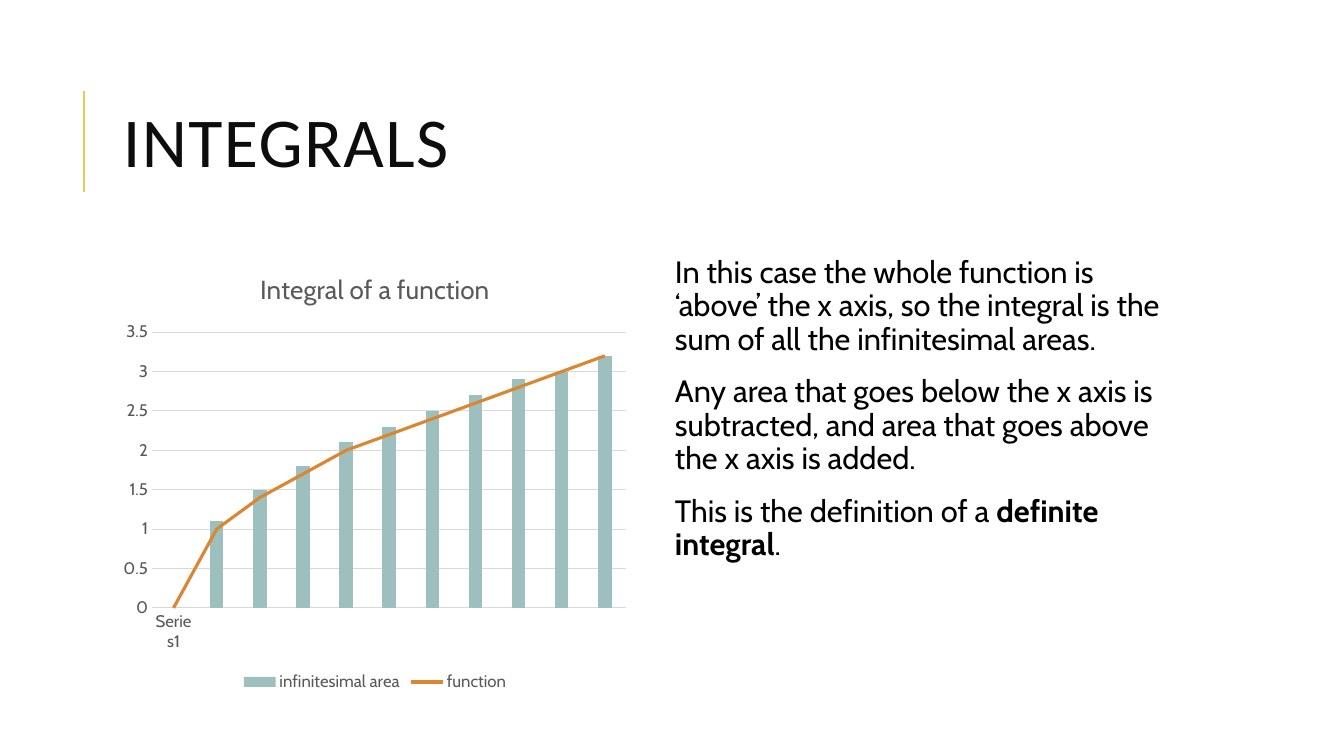
from copy import deepcopy
from lxml import etree
from pptx import Presentation
from pptx import util as u
from pptx.chart import data
from pptx.dml import color
from pptx.enum import chart as ch, shapes, text
from pptx.oxml import ns

HEADING = "INTEGRALS"
EXPLANATION = [
    [("In this case the whole function is ‘above’ the x axis, so the integral "
      "is the sum of all the infinitesimal areas.", False)],
    [("Any area that goes below the x axis is subtracted, and area that goes "
      "above the x axis is added.", False)],
    [("This is the definition of a ", False), ("definite integral", True), (".", False)],
]
CHART_TITLE = "Integral of a function"
CATEGORIES = ["Series1"] + [""] * 10
SERIES = {
    "infinitesimal area": [0, 1.1, 1.5, 1.8, 2.1, 2.3, 2.5, 2.7, 2.9, 3, 3.2],
    "function": [0, 1, 1.4, 1.7, 2, 2.2, 2.4, 2.6, 2.8, 3, 3.2],
}
COLORS = {"accent": "E3CC5A", "heading": "0D0D0D", "body": "000000",
          "label": "595959", "grid": "D9D9D9", "area": "9DBFBE", "function": "DB8631"}
WIDTH, HEIGHT = 1344, 756
LEFT, CONTENT_TOP, COLUMN_W, COLUMN_H = 113, 252, 524, 444
EXPLANATION_LEFT = 660
PX = 914400 / 100.8


def px(*lengths):
    return [u.Emu(round(n * PX)) for n in lengths]


def rgb(name):
    return color.RGBColor.from_string(COLORS[name])


def apply(target, **values):
    for key, value in values.items():
        setattr(target, key, value)


def style_font(font, face, size, shade, bold=False):
    apply(font, name=face, size=u.Pt(size), bold=bold)
    font.color.rgb = rgb(shade)


def style_line(line, shade, width):
    line.color.rgb = rgb(shade)
    line.width = u.Pt(width)


def text_frame(slide, box, **values):
    frame = slide.shapes.add_textbox(*px(*box)).text_frame
    apply(frame, word_wrap=True, **values)
    return frame


def move_to_line(chart):
    columns = chart.plots[0]._element
    function = columns.findall(ns.qn("c:ser"))[1]
    curve = columns.makeelement(ns.qn("c:lineChart"))
    for tag, value in (("c:grouping", "standard"), ("c:varyColors", "0")):
        etree.SubElement(curve, ns.qn(tag)).set("val", value)
    for inversion in function.findall(ns.qn("c:invertIfNegative")):
        function.remove(inversion)
    curve.append(function)
    etree.SubElement(curve, ns.qn("c:marker")).set("val", "1")
    for axis_id in columns.findall(ns.qn("c:axId")):
        curve.append(deepcopy(axis_id))
    columns.addnext(curve)


def add_integral_chart(slide):
    values = data.CategoryChartData()
    values.categories = CATEGORIES
    for name, heights in SERIES.items():
        values.add_series(name, heights)
    chart = slide.shapes.add_chart(
        ch.XL_CHART_TYPE.COLUMN_CLUSTERED,
        *px(LEFT, CONTENT_TOP, COLUMN_W, COLUMN_H), values).chart
    style_font(chart.font, "Cabin", 10, "body")
    move_to_line(chart)

    columns, curve = chart.plots
    apply(columns, gap_width=219, vary_by_categories=False)
    fill = columns.series[0].format.fill
    fill.solid()
    fill.fore_color.rgb = rgb("area")
    function = curve.series[0]
    function.smooth = False
    function.marker.style = ch.XL_MARKER_STYLE.NONE
    style_line(function.format.line, "function", 2.25)

    chart.has_title = True
    title = chart.chart_title
    title.include_in_layout = False
    title.text_frame.text = CHART_TITLE
    style_font(title.text_frame.paragraphs[0].runs[0].font, "Cabin", 18.6, "label")
    chart.has_legend = True
    apply(chart.legend, position=ch.XL_LEGEND_POSITION.BOTTOM, include_in_layout=False)
    style_font(chart.legend.font, "Cabin", 12, "label")

    for axis in (chart.category_axis, chart.value_axis):
        apply(axis, major_tick_mark=ch.XL_TICK_MARK.NONE,
              minor_tick_mark=ch.XL_TICK_MARK.NONE)
        style_font(axis.tick_labels.font, "Cabin", 12, "label")
    style_line(chart.category_axis.format.line, "grid", 0.75)
    scale = chart.value_axis
    apply(scale, minimum_scale=0, maximum_scale=3.5, major_unit=0.5)
    scale.format.line.fill.background()
    style_line(scale.major_gridlines.format.line, "grid", 0.75)


def main():
    deck = Presentation()
    deck.slide_width, deck.slide_height = px(WIDTH, HEIGHT)
    slide = deck.slides.add_slide(deck.slide_layouts[6])

    accent = slide.shapes.add_connector(shapes.MSO_CONNECTOR.STRAIGHT, *px(84, 192, 84, 91))
    style_line(accent.line, "accent", 1.5)
    etree.SubElement(accent._element.spPr, ns.qn("a:effectLst"))

    heading = text_frame(slide, (LEFT, 65, 1072, 165),
                         vertical_anchor=text.MSO_ANCHOR.MIDDLE).paragraphs[0]
    heading.line_spacing = 0.8
    run = heading.add_run()
    run.text = HEADING
    style_font(run.font, "Calibri", 50, "heading")
    run.font._element.set("spc", "100")

    add_integral_chart(slide)

    inset, indent = px(5, 15)
    frame = text_frame(slide, (EXPLANATION_LEFT, CONTENT_TOP, COLUMN_W, COLUMN_H),
                       margin_left=indent, margin_right=inset,
                       margin_top=inset, margin_bottom=inset)
    for i, pieces in enumerate(EXPLANATION):
        paragraph = frame.add_paragraph() if i else frame.paragraphs[0]
        apply(paragraph, line_spacing=0.9, space_before=u.Pt(12), space_after=u.Pt(2))
        for words, bold in pieces:
            run = paragraph.add_run()
            run.text = words
            style_font(run.font, "Cabin", 22, "body", bold)

    deck.save("out.pptx")


if __name__ == "__main__":
    main()
